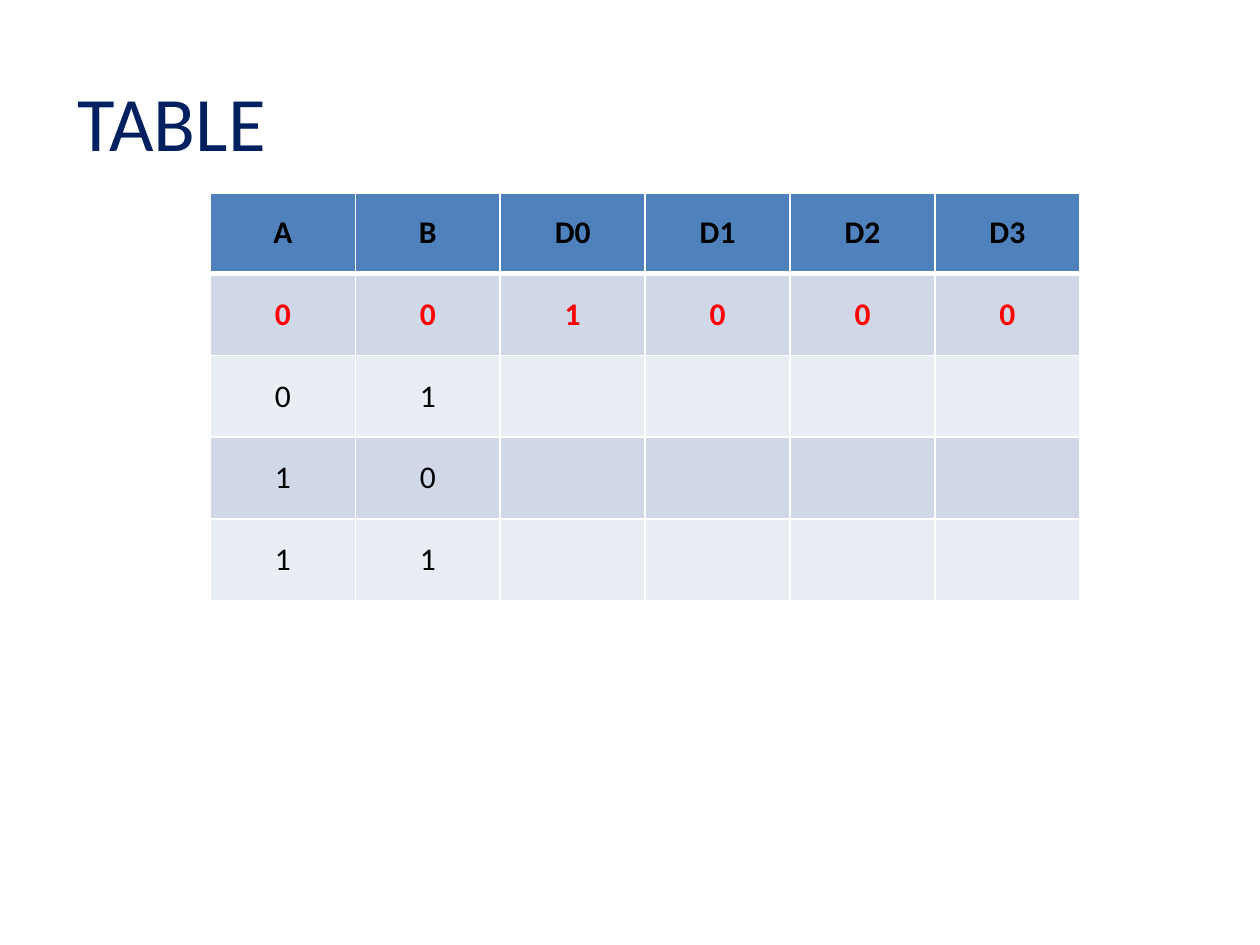
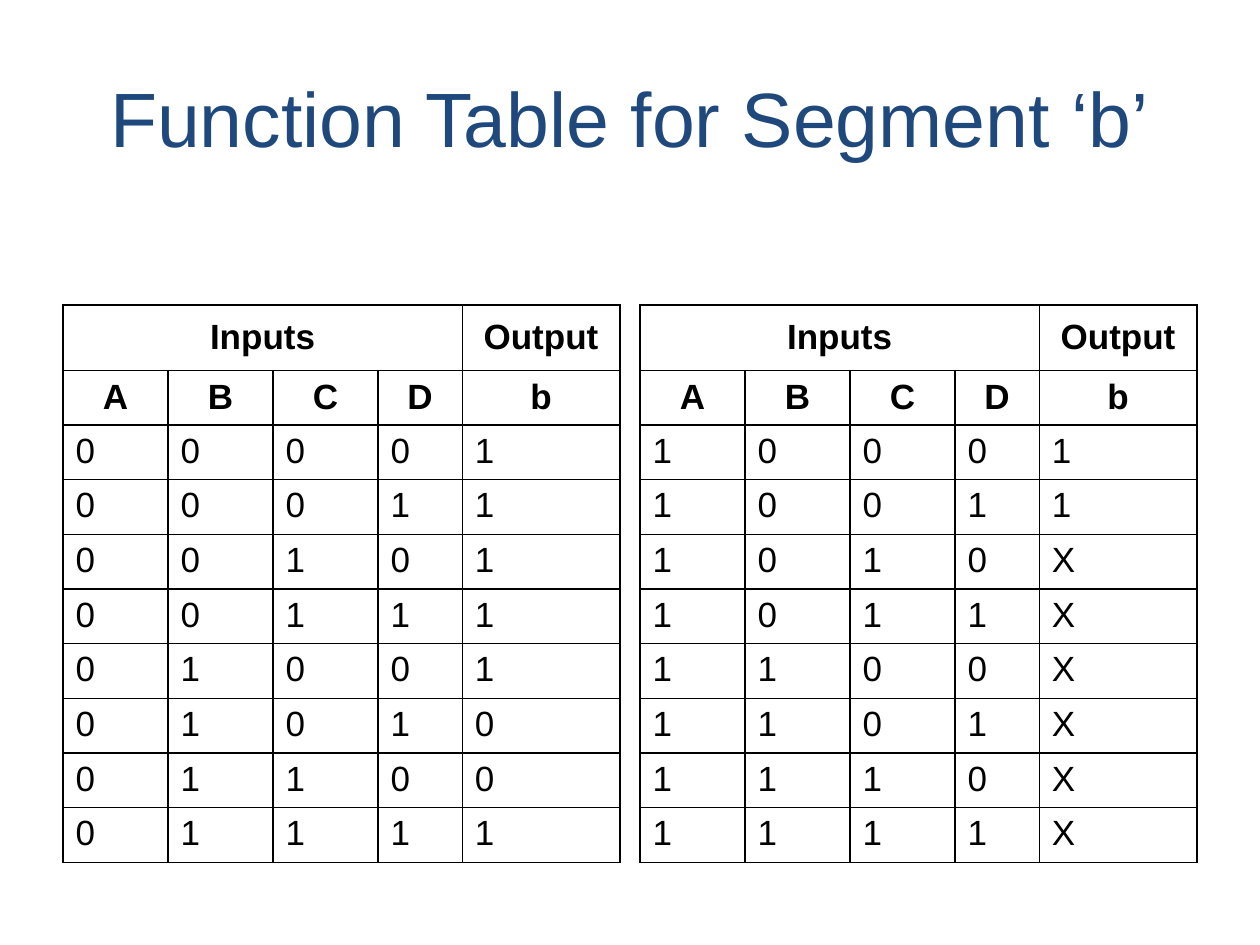
"""Builds two slides of logic tables: a decoder table and the function table for segment b."""
from lxml.etree import SubElement
from pptx import Presentation
from pptx.dml.color import RGBColor
from pptx.enum.text import MSO_ANCHOR, PP_ALIGN
from pptx.oxml.ns import qn
from pptx.util import Inches, Pt

DECODER_TITLE = "TABLE"
DECODER_ROWS = [
    ("A", "B", "D0", "D1", "D2", "D3"),
    ("0", "0", "1", "0", "0", "0"),
    ("0", "1", "", "", "", ""),
    ("1", "0", "", "", "", ""),
    ("1", "1", "", "", "", ""),
]

SEGMENT_TITLE = "Function Table for Segment ‘b’"
GROUP_HEADER = ("Inputs", "", "", "", "Output")
COLUMN_HEADER = ("A", "B", "C", "D", "b")
SEGMENT_HALVES = [
    {"left": 0.5, "first_input": 0, "outputs": "11111001"},
    {"left": 5.08, "first_input": 8, "outputs": "11XXXXXX"},
]

WHITE = RGBColor(0xFF, 0xFF, 0xFF)
BLACK = RGBColor(0x00, 0x00, 0x00)
RED = RGBColor(0xFF, 0x00, 0x00)
NAVY = RGBColor(0x00, 0x20, 0x60)
DARK_BLUE = RGBColor(0x1F, 0x49, 0x7D)
HEADER_BLUE = RGBColor(0x4F, 0x81, 0xBD)
BAND_DARK = RGBColor(0xD0, 0xD8, 0xE8)
BAND_LIGHT = RGBColor(0xE9, 0xED, 0xF4)

DECODER_COLUMN = 1.15
DECODER_HEIGHTS = [0.64] + [0.65] * 4
SEGMENT_COLUMNS = [2.5 / 3] * 3 + [0.67, 1.25]
SEGMENT_HEIGHTS = [0.52] + [3.9 / 9] * 9


def add_text(paragraph, text, font_name, size, color, bold=False):
    run = paragraph.add_run()
    run.text = text
    run.font.name = font_name
    run.font.size = Pt(size)
    run.font.bold = bold
    run.font.color.rgb = color


def add_title(slide, text, left, top, font_name, color, align):
    title = slide.shapes.add_textbox(Inches(left), Inches(top), Inches(9), Inches(1.25))
    title.text_frame.word_wrap = True
    title.text_frame.vertical_anchor = MSO_ANCHOR.MIDDLE
    paragraph = title.text_frame.paragraphs[0]
    paragraph.alignment = align
    add_text(paragraph, text, font_name, 44, color)


def add_grid(slide, left, top, widths, heights):
    grid = slide.shapes.add_table(
        len(heights), len(widths), Inches(left), Inches(top),
        Inches(sum(widths)), Inches(sum(heights))).table
    grid.first_row = False
    grid.horz_banding = False
    for column, width in zip(grid.columns, widths):
        column.width = Inches(width)
    for row, height in zip(grid.rows, heights):
        row.height = Inches(height)
    return grid


def set_borders(cell, color, top=1, bottom=1):
    properties = cell._tc.get_or_add_tcPr()
    for side, points in (("L", 1), ("R", 1), ("T", top), ("B", bottom)):
        line = SubElement(properties, qn(f"a:ln{side}"), w=str(Pt(points)))
        SubElement(SubElement(line, qn("a:solidFill")), qn("a:srgbClr"), val=str(color))


def fill_cell(cell, text, align, anchor, *text_style):
    cell.vertical_anchor = anchor
    paragraph = cell.text_frame.paragraphs[0]
    paragraph.alignment = align
    if text:
        add_text(paragraph, text, *text_style)


def add_decoder_table(slide):
    grid = add_grid(slide, 1.67, 1.53, [DECODER_COLUMN] * len(DECODER_ROWS[0]), DECODER_HEIGHTS)
    bands = [HEADER_BLUE, BAND_DARK, BAND_LIGHT, BAND_DARK, BAND_LIGHT]
    for r, (values, band) in enumerate(zip(DECODER_ROWS, bands)):
        for c, value in enumerate(values):
            cell = grid.cell(r, c)
            set_borders(cell, WHITE, top=3 if r == 1 else 1, bottom=3 if r == 0 else 1)
            cell.fill.solid()
            cell.fill.fore_color.rgb = band
            fill_cell(cell, value, PP_ALIGN.CENTER, MSO_ANCHOR.MIDDLE,
                      "Calibri", 18, RED if r == 1 else BLACK, r < 2)


def add_segment_table(slide, left, first_input, outputs):
    grid = add_grid(slide, left, 2.42, SEGMENT_COLUMNS, SEGMENT_HEIGHTS)
    grid.cell(0, 0).merge(grid.cell(0, 3))
    truth_rows = [f"{number:04b}{output}" for number, output in enumerate(outputs, first_input)]
    for r, values in enumerate([GROUP_HEADER, COLUMN_HEADER, *truth_rows]):
        is_header = r < 2
        align = PP_ALIGN.CENTER if is_header else PP_ALIGN.JUSTIFY
        anchor = MSO_ANCHOR.MIDDLE if is_header else MSO_ANCHOR.TOP
        for c, value in enumerate(values):
            cell = grid.cell(r, c)
            set_borders(cell, BLACK)
            cell.fill.background()
            fill_cell(cell, value, align, anchor, "Arial", 20, BLACK, is_header)


def main():
    deck = Presentation()
    deck.slide_width, deck.slide_height = Inches(10), Inches(7.5)
    blank = deck.slide_layouts[6]

    decoder_slide = deck.slides.add_slide(blank)
    add_title(decoder_slide, DECODER_TITLE, 0.52, 0.33, "Calibri", NAVY, PP_ALIGN.LEFT)
    add_decoder_table(decoder_slide)

    segment_slide = deck.slides.add_slide(blank)
    add_title(segment_slide, SEGMENT_TITLE, 0.5, 0.3, "Arial", DARK_BLUE, PP_ALIGN.CENTER)
    for half in SEGMENT_HALVES:
        add_segment_table(segment_slide, **half)

    deck.save("out.pptx")


if __name__ == "__main__":
    main()
